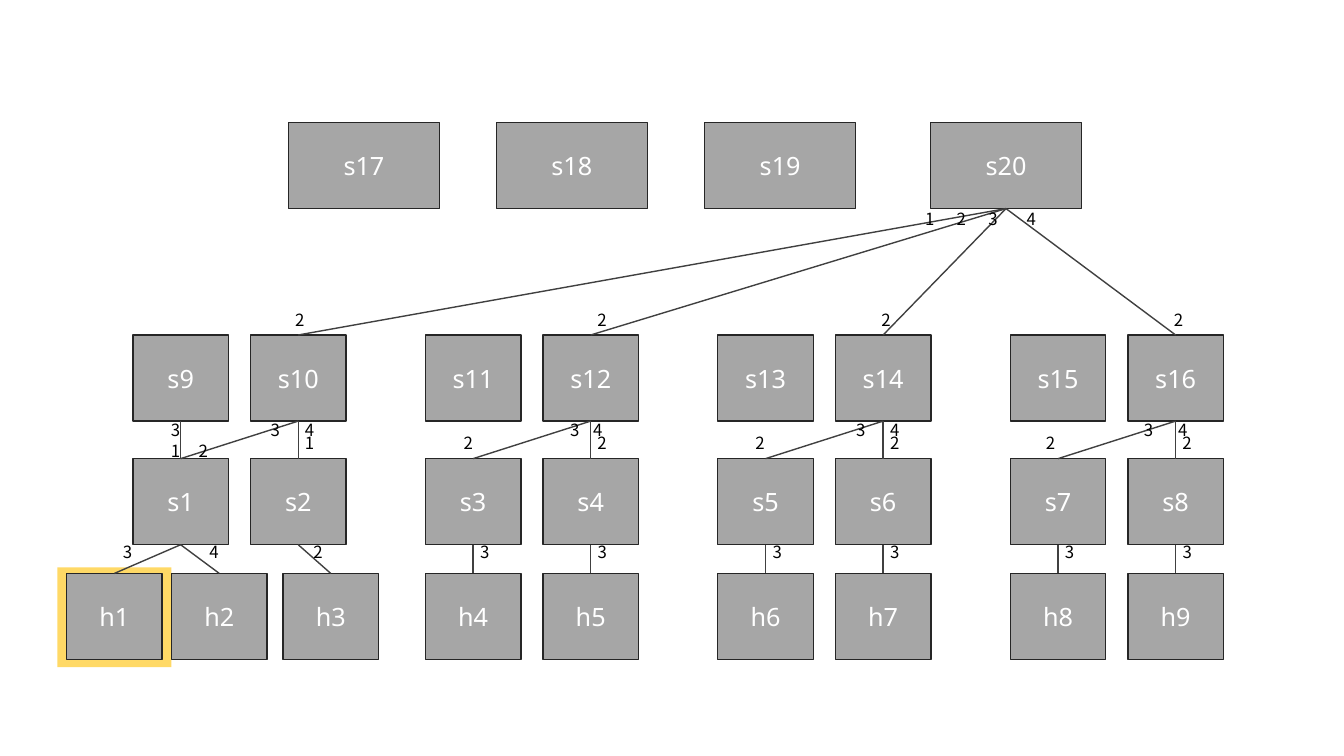
from lxml import etree
from pptx import Presentation
from pptx import util as u
from pptx.dml.color import RGBColor
from pptx.enum import shapes, text
from pptx.oxml.ns import qn

Pt = u.Pt
NODE_W, NODE_H, CORE_W = 68.3, 61.5, 108
POD_LEFT, POD_PITCH, NODE_PITCH = 94.9, 208.9, 84
CORE_TOP, AGG_TOP, EDGE_TOP, HOST_TOP = 87.5, 239.3, 327.6, 409.6
LABEL_W, LABEL_H = 12.2, 21.6
TOP_SITE, BOTTOM_SITE = 0, 2

CORE_LEFTS = {"s17": 206, "s18": 354.5, "s19": 503.3, "s20": 664.6}
FIRST_POD_HOSTS = {"h1": 47.6, "h2": 122.5, "h3": 202.1}

LINKS = [
    ("s20", "s10", "1", -62.5, "2", -7),
    ("s20", "s12", "2", -40, "2", 0),
    ("s20", "s14", "3", -17.3, "2", -6),
    ("s20", "s16", "4", 10, "2", -6),
    ("s9", "s1", "3", -11.7, "1", -11.7),
    ("s10", "s1", "3", -24.5, "2", 8),
    ("s10", "s2", "4", 0, "1", 0),
    ("s12", "s3", "3", -19.5, "2", -11.5),
    ("s12", "s4", "4", -3, "2", 0),
    ("s14", "s5", "3", -24, "2", -12),
    ("s14", "s6", "4", 0.3, "2", 0.3),
    ("s16", "s7", "3", -27.5, "2", -13.5),
    ("s16", "s8", "4", -3, "2", 0),
    ("s1", "h1", "3", -46, None, 0),
    ("s1", "h2", "4", 15.8, None, 0),
    ("s2", "h3", "2", 6, None, 0),
] + [(f"s{i}", f"h{i + 1}", "3", 0.2, None, 0) for i in range(3, 9)]


def color(value):
    return RGBColor.from_string(value)


def add_run(tf, words, font, size, fill):
    p = tf.paragraphs[0]
    p.alignment = text.PP_ALIGN.CENTER
    r = p.add_run()
    r.text = words
    r.font.name = font
    r.font.size = Pt(size)
    r.font.color.rgb = color(fill)
    for tag in ("a:ea", "a:cs"):
        etree.SubElement(r.font._element, qn(tag)).set("typeface", font)


def add_rect(parent, left, top, width, height, fill):
    sp = parent.add_shape(shapes.MSO_SHAPE.RECTANGLE,
                          Pt(left), Pt(top), Pt(width), Pt(height))
    sp.shadow.inherit = False
    sp.fill.solid()
    sp.fill.fore_color.rgb = color(fill)
    sp.line.fill.background()
    return sp


def add_node(parent, nodes, label, left, top, width=NODE_W):
    sp = add_rect(parent, left, top, width, NODE_H, "A6A6A6")
    sp.line.color.rgb = color("262626")
    sp.line.width = Pt(1)
    tf = sp.text_frame
    tf.vertical_anchor = text.MSO_ANCHOR.MIDDLE
    add_run(tf, label, "Noto Sans", 18, "FFFFFF")
    nodes[label] = sp


def add_layer(s, nodes, first, top):
    for pod in range(4):
        group = s.shapes.add_group_shape().shapes
        for side in range(2):
            left = POD_LEFT + pod * POD_PITCH + side * NODE_PITCH
            add_node(group, nodes, f"s{first + 2 * pod + side}", left, top)


def add_core(s, nodes, top):
    for label, left in CORE_LEFTS.items():
        add_node(s.shapes, nodes, label, left, top, CORE_W)


def add_hosts(s, nodes, top):
    add_rect(s.shapes, 41, top - 4.4, 81.4, 71.3, "FFD966")
    for label, left in FIRST_POD_HOSTS.items():
        add_node(s.shapes, nodes, label, left, top)
    for i in range(4, 10):
        add_node(s.shapes, nodes, f"h{i}", nodes[f"s{i - 1}"].left.pt, top)


def add_label(s, words, node, offset, top):
    left = node.left.pt + node.width.pt / 2 + offset
    sp = s.shapes.add_textbox(Pt(left), Pt(top), Pt(LABEL_W), Pt(LABEL_H))
    tf = sp.text_frame
    tf.word_wrap = True
    tf.vertical_anchor = text.MSO_ANCHOR.MIDDLE
    tf.margin_left = Pt(4)
    tf.margin_right = tf.margin_top = tf.margin_bottom = 0
    add_run(tf, words, "Noto Sans CJK JP", 12, "000000")


def add_link(s, upper, lower):
    start = lower.left + lower.width // 2, lower.top
    end = upper.left + upper.width // 2, upper.top + upper.height
    line = s.shapes.add_connector(shapes.MSO_CONNECTOR.STRAIGHT, *start, *end)
    line.begin_connect(lower, TOP_SITE)
    line.end_connect(upper, BOTTOM_SITE)
    line.line.color.rgb = color("404040")
    line.line.width = Pt(1)
    etree.SubElement(line._element.spPr, qn("a:effectLst"))


def add_ports(s, nodes):
    for upper, lower, up_port, up_offset, low_port, low_offset in LINKS:
        node = nodes[upper]
        overlap = 3.4 if upper in CORE_LEFTS else 4.7 if low_port else 5.5
        add_label(s, up_port, node, up_offset, node.top.pt + NODE_H - overlap)
        if low_port:
            rise = 16.7 if lower == "s1" else 21.9
            node = nodes[lower]
            add_label(s, low_port, node, low_offset, node.top.pt - rise)


prs = Presentation()
prs.slide_width, prs.slide_height = Pt(960), Pt(540)
s = prs.slides.add_slide(prs.slide_layouts[6])
nodes = {}
add_layer(s, nodes, 1, EDGE_TOP)
add_layer(s, nodes, 9, AGG_TOP)
add_core(s, nodes, CORE_TOP)
add_hosts(s, nodes, HOST_TOP)
for upper, lower, *_ in LINKS:
    add_link(s, nodes[upper], nodes[lower])
add_ports(s, nodes)
prs.save("out.pptx")
